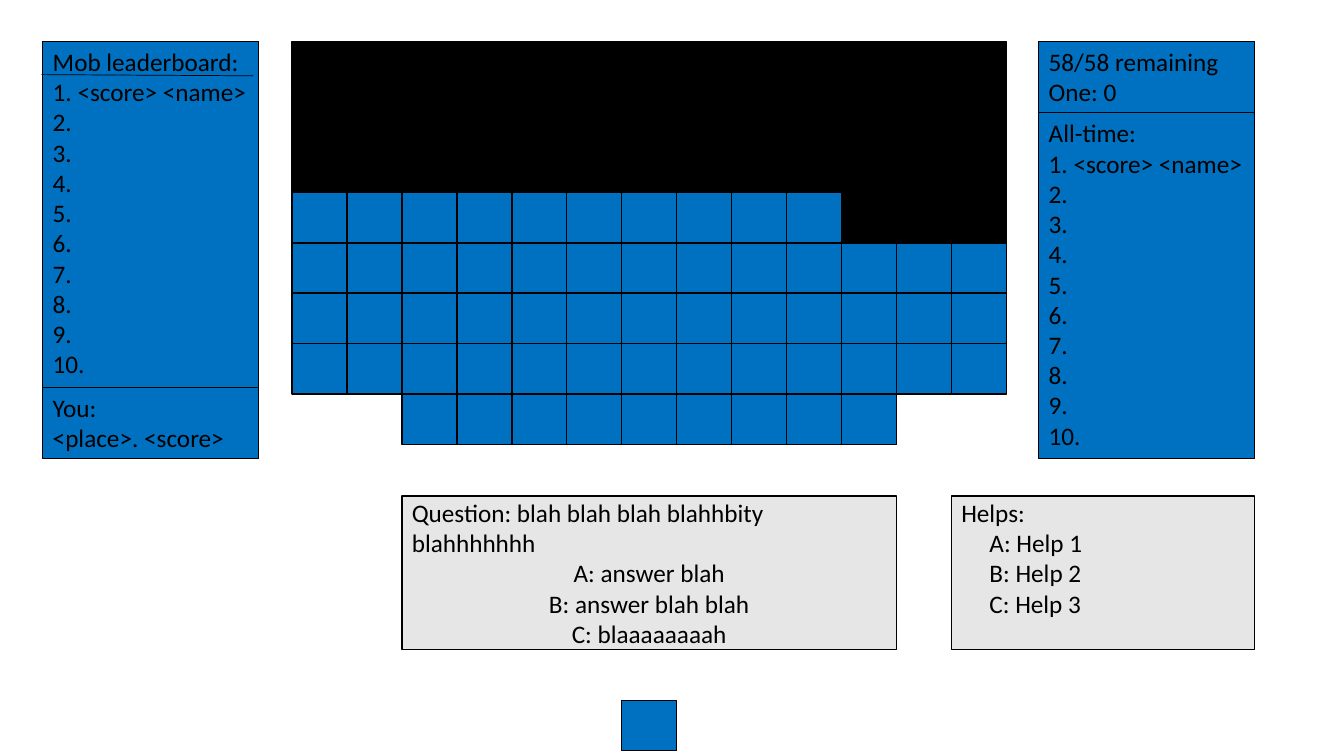
from lxml.etree import SubElement
from pptx import Presentation
from pptx.dml.color import RGBColor
from pptx.enum.shapes import MSO_CONNECTOR as Link, MSO_SHAPE as Preset
from pptx.enum.text import MSO_ANCHOR as Anchor, MSO_AUTO_SIZE as Fit, PP_ALIGN as Align
from pptx.oxml.ns import qn
from pptx.util import Cm, Pt

BLACK, BLUE, GREY = "000000", "0070C0", "E7E6E6"
SEAT_WIDTH, SEAT_HEIGHT = 18 / 13, 1.27
GRID_LEFT, GRID_TOP = 7.36, 1.04
COLUMNS = 13


def colour(code):
    """Turn a hex string into a colour."""
    return RGBColor.from_string(code)


def write(para, text, font="Calibri", size=18, ink=BLACK, align=Align.LEFT, indent=0):
    """Put formatted text into a paragraph."""
    para.alignment = align
    if indent:
        para._p.get_or_add_pPr().set("marL", str(Cm(indent)))
    span = para.add_run()
    span.text = text
    span.font.name = font
    span.font.size = Pt(size)
    span.font.color.rgb = colour(ink)


class Board:
    """Hold the outline style and the current slide."""

    def __init__(self, page, outline=BLACK):
        """Remember the slide and the outline colour."""
        self.page = page
        self.outline = outline

    def rectangle(self, left, top, width, height, fill, weight=1):
        """Add an outlined rectangle."""
        box = self.page.shapes.add_shape(
            Preset.RECTANGLE, Cm(left), Cm(top), Cm(width), Cm(height))
        box.shadow.inherit = False
        box.fill.solid()
        box.fill.fore_color.rgb = colour(fill)
        box.line.color.rgb = colour(self.outline)
        box.line.width = Pt(weight)
        return box

    def seat(self, column, row_top, fill=BLUE):
        """Add one seat of the mob."""
        self.rectangle(GRID_LEFT + column * SEAT_WIDTH, row_top,
                       SEAT_WIDTH, SEAT_HEIGHT, fill)

    def text(self, box, heading, lines, **style):
        """Write a heading and the lines below it."""
        frame = box.text_frame
        write(frame.paragraphs[0], heading)
        for line in lines:
            write(frame.add_paragraph(), line, **style)
        return frame

    def panel(self, left, top, height, heading, lines, wrap=True):
        """Add a blue score panel."""
        box = self.rectangle(left, top, 5.44, height, BLUE, 0.75)
        frame = self.text(box, heading, lines)
        frame.vertical_anchor = Anchor.TOP
        frame.word_wrap = wrap
        frame.auto_size = Fit.SHAPE_TO_FIT_TEXT

    def card(self, left, right, heading, lines, anchor, **style):
        """Add a grey card under the seats."""
        box = self.rectangle(left, 12.5, right - left, 3.87, GREY)
        frame = self.text(box, heading, lines, **style)
        frame.word_wrap = True
        frame.vertical_anchor = anchor
        frame.margin_top = frame.margin_bottom = Cm(0.03)

    def rule(self, left, top, right, bottom, weight):
        """Add a thin straight line."""
        line = self.page.shapes.add_connector(
            Link.STRAIGHT, Cm(left), Cm(top), Cm(right), Cm(bottom))
        line.line.color.rgb = colour(self.outline)
        line.line.width = Pt(weight)
        SubElement(line._element.spPr, qn("a:effectLst"))


deck = Presentation()
deck.slide_width, deck.slide_height = Cm(33.87), Cm(19.05)
board = Board(deck.slides.add_slide(deck.slide_layouts[6]))

black_from = [0, 0, 0, 10, COLUMNS, COLUMNS, COLUMNS]
for row, first_black in enumerate(black_from):
    columns = range(2, 11) if row == 7 else range(COLUMNS)
    for column in columns:
        board.seat(column, GRID_TOP + row * SEAT_HEIGHT,
                   BLACK if column >= first_black else BLUE)
for column in range(2, 11):
    board.seat(column, GRID_TOP + len(black_from) * SEAT_HEIGHT)
board.seat(6, 17.65)

board.card(GRID_LEFT + 2 * SEAT_WIDTH, GRID_LEFT + 11 * SEAT_WIDTH,
           "Question: blah blah blah blahhbity blahhhhhhh",
           ["A: answer blah", "B: answer blah blah", "C: blaaaaaaaah"],
           Anchor.MIDDLE, align=Align.CENTER)

ranks = ["1. <score> <name>"] + [f"{place}." for place in range(2, 11)]
board.panel(1.08, 1.04, 8.72, "Mob leaderboard:", ranks, wrap=False)
board.rule(1.04, 1.88, 6.38, 1.91, 0.5)
board.panel(1.08, 9.76, 1.8, "You:", ["<place>. <score>"])
board.panel(26.18, 1.04, 1.8, "58/58 remaining", ["One: 0"])
board.panel(26.18, 2.84, 8.72, "All-time:", ranks, wrap=False)

board.card(GRID_LEFT + 12 * SEAT_WIDTH, 31.62, "Helps:",
           [f"{letter}: Help {number}" for number, letter in enumerate("ABC", 1)],
           Anchor.TOP, indent=0.71)

deck.save("out.pptx")
